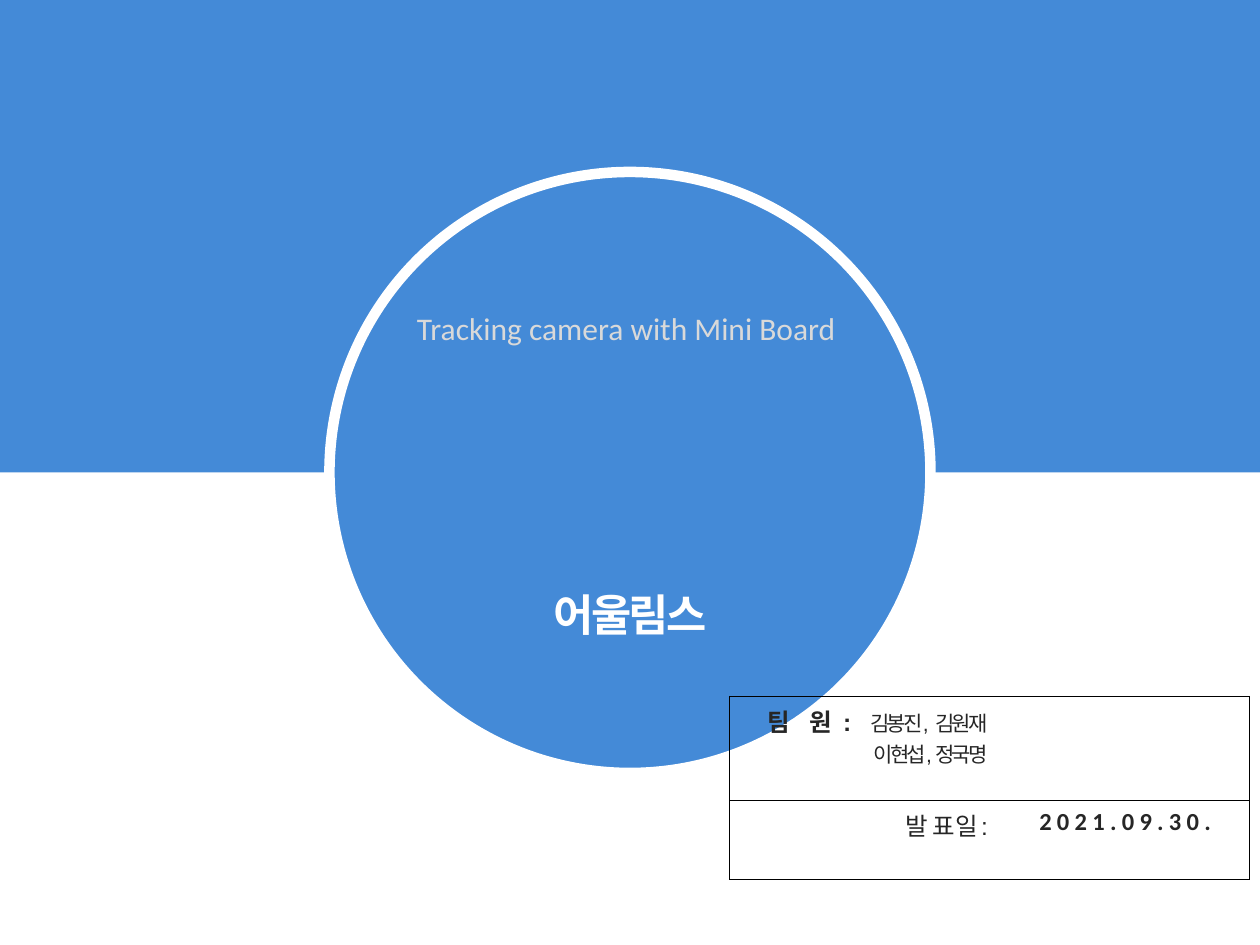
from dataclasses import dataclass
from typing import Any

from lxml.etree import SubElement
from pptx import Presentation
from pptx.dml.color import RGBColor
from pptx.enum.shapes import MSO_SHAPE as Shape
from pptx.enum.text import PP_ALIGN as Align
from pptx.oxml.ns import qn
from pptx.util import Inches, Pt

WIDTH, HEIGHT = 10, 7.5


def color(value):
    """Turn a hex string into a colour."""
    return RGBColor.from_string(value)


@dataclass
class Painter:
    """Hold the style and the current page; lengths are shares of the page."""
    page: Any
    blue: str = "448AD7"
    white: str = "FFFFFF"
    pale: str = "D9D9D9"
    ink: str = "262626"
    rule: str = "000000"

    def frame(self, left, top, width, height):
        """Turn shares of the page into lengths."""
        return [Inches(share * side) for share, side in
                zip((left, top, width, height), (WIDTH, HEIGHT) * 2)]

    def shape(self, kind, area, line=None, weight=0):
        """Draw a blue preset shape, outlined if a line colour is given."""
        item = self.page.shapes.add_shape(kind, *self.frame(*area))
        item.shadow.inherit = False
        item.fill.solid()
        item.fill.fore_color.rgb = color(self.blue)
        if line:
            item.line.color.rgb = color(line)
            item.line.width = Pt(weight)
        else:
            item.line.fill.background()

    def fill_para(self, para, spans, align=Align.LEFT):
        """Fill a paragraph from (text, size, font, colour, bold, spacing) spans."""
        para.alignment = align
        for text, size, font, tint, bold, spacing in spans:
            span = para.add_run()
            span.text = text
            span.font.size = Pt(size)
            span.font.name = font
            span.font.bold = bold
            span.font.color.rgb = color(tint)
            if spacing:
                span._r.get_or_add_rPr().set("spc", str(round(spacing * 100)))

    def text(self, area, spans, align=Align.LEFT, inset=0.1):
        """Place a wrapping text box with one paragraph."""
        box = self.page.shapes.add_textbox(*self.frame(*area))
        box.text_frame.word_wrap = True
        box.text_frame.margin_left = Inches(inset)
        self.fill_para(box.text_frame.paragraphs[0], spans, align)

    def border(self, cell, hidden):
        """Rule the sides of a cell except the hidden one."""
        props = cell._tc.get_or_add_tcPr()
        for side in ("lnL", "lnR", "lnT", "lnB"):
            line = SubElement(props, qn(f"a:{side}"), w=str(Pt(0.75)))
            if side == hidden:
                SubElement(line, qn("a:noFill"))
            else:
                fill = SubElement(line, qn("a:solidFill"))
                SubElement(fill, qn("a:srgbClr"), val=self.rule)

    def table(self, area, columns, rows, cells):
        """Place a clear table; each cell is an alignment and its paragraphs."""
        grid = self.page.shapes.add_table(
            len(rows), len(columns), *self.frame(*area)).table
        grid.first_row = grid.horz_banding = False
        for column, width in zip(grid.columns, columns):
            column.width = Inches(width * WIDTH)
        for row, height in zip(grid.rows, rows):
            row.height = Inches(height * HEIGHT)
        for row, contents in zip(grid.rows, cells):
            for cell, hidden, (align, paras) in zip(row.cells, ("lnR", "lnL"), contents):
                self.border(cell, hidden)
                cell.fill.background()
                frame = cell.text_frame
                for index, spans in enumerate(paras):
                    para = frame.add_paragraph() if index else frame.paragraphs[0]
                    self.fill_para(para, spans, align)


def main():
    """Build the title page."""
    deck = Presentation()
    deck.slide_width, deck.slide_height = Inches(WIDTH), Inches(HEIGHT)
    painter = Painter(deck.slides.add_slide(deck.slide_layouts[6]))
    ink = painter.ink

    def label(text, spacing):
        """Describe a bold label span."""
        return text, 14, "Arial", ink, True, spacing

    def plain(text, spacing=-1.5, size=12):
        """Describe a regular span."""
        return text, size, "Arial", ink, False, spacing

    diameter = 4.77
    across, down = diameter / WIDTH, diameter / HEIGHT
    painter.shape(Shape.RECTANGLE, (0, 0, 1, 0.5))
    painter.shape(Shape.FLOWCHART_CONNECTOR,
                  ((1 - across) / 2, (1 - down) / 2, across, down),
                  painter.white, 6)
    painter.text((0.31, 0.32, 0.39, 0.09),
                 [("Tracking camera with Mini Board", 18, "Calibri",
                   painter.pale, False, 0)], inset=0.21)
    painter.text((0.39, 0.615, 0.22, 0.07),
                 [("어울림스", 25, "Calibri", painter.white, True, -1.5)],
                 Align.CENTER)

    members = [
        [label("팀 ", 4), label("원 ", 1.5), label(": ", 3.5),
         plain("김봉진,"), plain(" ", 0.3), plain("김원재")],
        [plain("이현섭, 정국명")],
    ]
    date_label = [[plain("발 ", -0.3, 14), plain("표 일 :", size=14)]]
    date = [[("2021.09.30.", 14, "Calibri", ink, True, 3)]]
    painter.table((0.579, 0.737, 0.413, 0.193), (0.215, 0.198), (0.11, 0.084), [
        [(Align.RIGHT, members), (Align.LEFT, [])],
        [(Align.RIGHT, date_label), (Align.CENTER, date)],
    ])
    deck.save("out.pptx")


if __name__ == "__main__":
    main()
